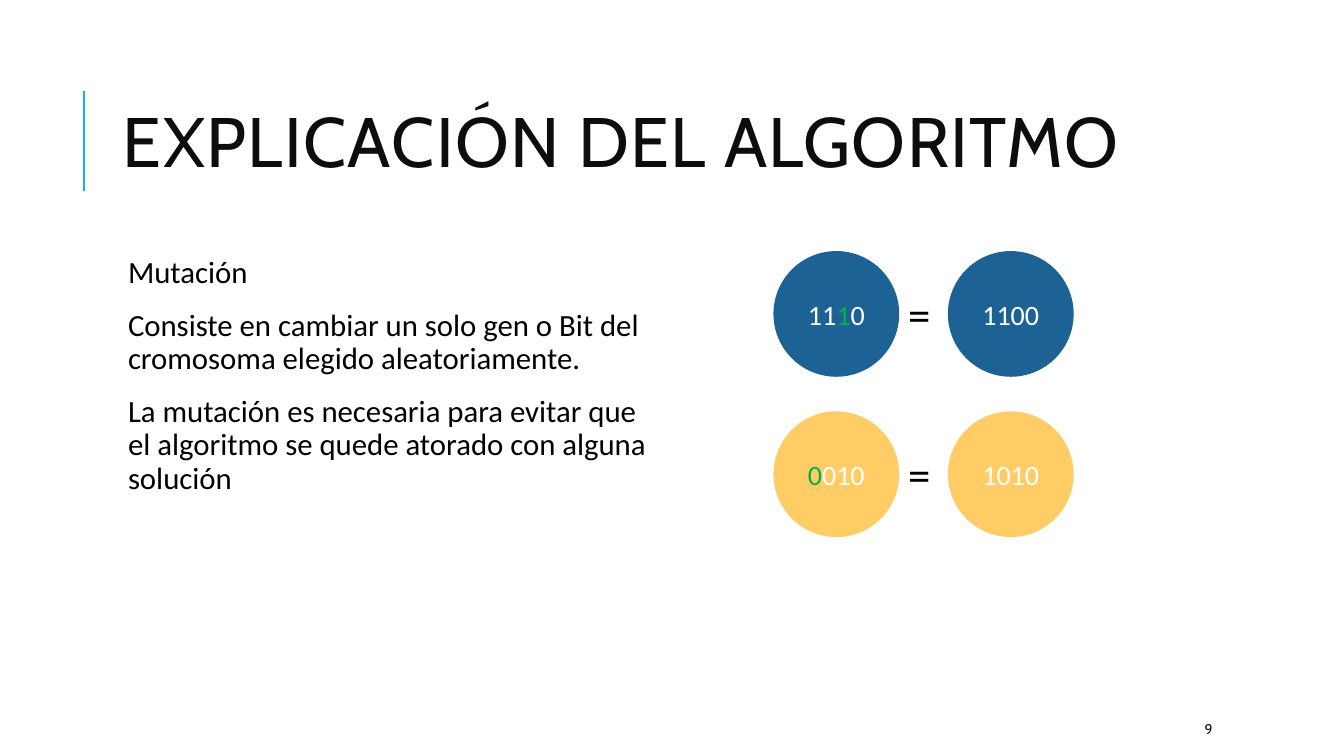
"""Build the mutation slide of a genetic algorithm deck."""
from dataclasses import dataclass
from typing import Any

import lxml.etree
import pptx
import pptx.dml.color
import pptx.enum.shapes
import pptx.enum.text
import pptx.oxml.ns
import pptx.util

COLORS = {
    "ink": "0D0D0D", "black": "000000", "white": "FFFFFF", "accent": "1CADE4",
    "blue": "1D6294", "yellow": "FFCC66", "gene": "00B050",
}
WIDTH = pptx.util.Inches(13.33)
HEIGHT = pptx.util.Inches(7.5)
ALIGN = pptx.enum.text.PP_ALIGN
ANCHOR = pptx.enum.text.MSO_ANCHOR
FIT = pptx.enum.text.MSO_AUTO_SIZE

GRID_LEFT, GRID_TOP = 57.61, 33.33
CIRCLE_WIDTH, CIRCLE_HEIGHT = 9.23, 16.4
EQUALS_WIDTH, EQUALS_HEIGHT, EQUALS_DROP = 3.75, 8.53, 3.87
COLUMN_STEP = CIRCLE_WIDTH + EQUALS_WIDTH
ROW_STEP = 21.2


@dataclass(frozen=True)
class Area:
    """Place on the slide in percent of its width and height."""
    left: float
    top: float
    width: float
    height: float

    def lengths(self) -> dict[str, int]:
        """Give the place in slide units."""
        return {
            "left": round(WIDTH * self.left / 100),
            "top": round(HEIGHT * self.top / 100),
            "width": round(WIDTH * self.width / 100),
            "height": round(HEIGHT * self.height / 100),
        }


@dataclass(frozen=True)
class Style:
    """Font of a text."""
    size: float
    color: str
    name: str = "Calibri"


@dataclass(frozen=True)
class Mutation:
    """Chromosome before and after one gene changes."""
    before: str
    gene: int
    after: str
    fill: str


MUTATIONS = [Mutation("1110", 2, "1100", "blue"), Mutation("0010", 0, "1010", "yellow")]
EXPLANATION = [
    "Mutación",
    "Consiste en cambiar un solo gen o Bit del cromosoma elegido aleatoriamente.",
    "La mutación es necesaria para evitar que el algoritmo se quede atorado con alguna solución",
]


def apply(target: Any, values: dict[str, Any]) -> None:
    """Set each named attribute on the target."""
    for name, value in values.items():
        setattr(target, name, value)


def rgb(name: str) -> pptx.dml.color.RGBColor:
    """Look up a named colour."""
    return pptx.dml.color.RGBColor.from_string(COLORS[name])


def add_span(para: Any, text: str, style: Style) -> Any:
    """Add a formatted run."""
    span = para.add_run()
    span.text = text
    apply(span.font, {"size": pptx.util.Pt(style.size), "name": style.name})
    span.font.color.rgb = rgb(style.color)
    return span


def add_label(page: Any, area: Area, text: str, style: Style, anchor: Any) -> None:
    """Add a text box with one line."""
    box = page.shapes.add_textbox(**area.lengths())
    apply(box.text_frame, {"word_wrap": True, "vertical_anchor": anchor})
    add_span(box.text_frame.paragraphs[0], text, style)


def add_circle(page: Any, area: Area, fill: str, spans: list[tuple[str, str]]) -> None:
    """Add a chromosome circle with coloured genes."""
    kind = pptx.enum.shapes.MSO_SHAPE.FLOWCHART_CONNECTOR
    circle = page.shapes.add_shape(kind, **area.lengths())
    circle.shadow.inherit = False
    circle.fill.solid()
    circle.fill.fore_color.rgb = rgb(fill)
    circle.line.color.rgb = rgb(fill)
    circle.line.width = pptx.util.Pt(1.25)
    apply(circle.text_frame, {"word_wrap": True, "vertical_anchor": ANCHOR.MIDDLE})
    para = circle.text_frame.paragraphs[0]
    para.alignment = ALIGN.CENTER
    for text, color in spans:
        if text:
            add_span(para, text, Style(20, color))


def add_mutation(page: Any, row: int, mutation: Mutation) -> None:
    """Draw one row of the chromosome grid."""
    top = GRID_TOP + row * ROW_STEP
    gene = mutation.gene
    before = [
        (mutation.before[:gene], "white"),
        (mutation.before[gene], "gene"),
        (mutation.before[gene + 1:], "white"),
    ]
    for column, spans in enumerate([before, [(mutation.after, "white")]]):
        left = GRID_LEFT + column * COLUMN_STEP
        add_circle(page, Area(left, top, CIRCLE_WIDTH, CIRCLE_HEIGHT), mutation.fill, spans)
    equals = Area(GRID_LEFT + CIRCLE_WIDTH, top + EQUALS_DROP, EQUALS_WIDTH, EQUALS_HEIGHT)
    add_label(page, equals, "=", Style(32, "black"), ANCHOR.TOP)


def add_title(page: Any) -> None:
    """Fill the title and draw the rule beside it."""
    rule = page.shapes.add_connector(
        pptx.enum.shapes.MSO_CONNECTOR.STRAIGHT,
        round(WIDTH * 0.0623), round(HEIGHT * 0.2533),
        round(WIDTH * 0.0623), round(HEIGHT * 0.12))
    rule.line.color.rgb = rgb("accent")
    rule.line.width = pptx.util.Pt(1.5)
    properties = rule.element.find(pptx.oxml.ns.qn("p:spPr"))
    lxml.etree.SubElement(properties, pptx.oxml.ns.qn("a:effectLst"))
    title = page.shapes.title
    apply(title, Area(8.4, 8.53, 79.74, 21.87).lengths())
    apply(title.text_frame, {
        "vertical_anchor": ANCHOR.MIDDLE, "auto_size": FIT.NONE, "word_wrap": True})
    para = title.text_frame.paragraphs[0]
    apply(para, {"alignment": ALIGN.LEFT, "line_spacing": 0.8})
    span = add_span(para, "EXPLICACIÓN DEL ALGORITMO", Style(50, "ink", "Cabin"))
    span.font.element.set("spc", "100") if hasattr(span.font, "element") else \
        para.runs[0].font._element.set("spc", "100") if hasattr(span.font, "_element") else \
        para._p.r_lst[0].get_or_add_rPr().set("spc", "100")


def add_explanation(page: Any) -> None:
    """Fill the body with the explanation."""
    body = page.placeholders[1]
    apply(body, Area(8.4, 33.33, 40.58, 58.67).lengths())
    frame = body.text_frame
    margins = dict.fromkeys(
        ["margin_left", "margin_top", "margin_right", "margin_bottom"], pptx.util.Inches(0.05))
    apply(frame, {
        **margins, "auto_size": FIT.NONE, "word_wrap": True, "vertical_anchor": ANCHOR.TOP})
    for index, text in enumerate(EXPLANATION):
        para = frame.add_paragraph() if index else frame.paragraphs[0]
        apply(para, {
            "alignment": ALIGN.LEFT, "line_spacing": 0.9,
            "space_before": pptx.util.Pt(12), "space_after": pptx.util.Pt(2)})
        properties = para._p.get_or_add_pPr()
        properties.set("marL", str(pptx.util.Inches(0.1)))
        properties.set("indent", "0")
        lxml.etree.SubElement(properties, pptx.oxml.ns.qn("a:buNone"))
        add_span(para, text, Style(22, "black"))


def main() -> None:
    """Build and save the deck."""
    deck = pptx.Presentation()
    apply(deck, {"slide_width": WIDTH, "slide_height": HEIGHT})
    page = deck.slides.add_slide(deck.slide_layouts[1])
    add_title(page)
    add_explanation(page)
    for row, mutation in enumerate(MUTATIONS):
        add_mutation(page, row, mutation)
    number = Area(88.9, 94.4, 7.95, 4)
    add_label(page, number, "9", Style(10, "ink", "Cabin"), ANCHOR.MIDDLE)


    deck.save("out.pptx")


if __name__ == "__main__":
    main()
